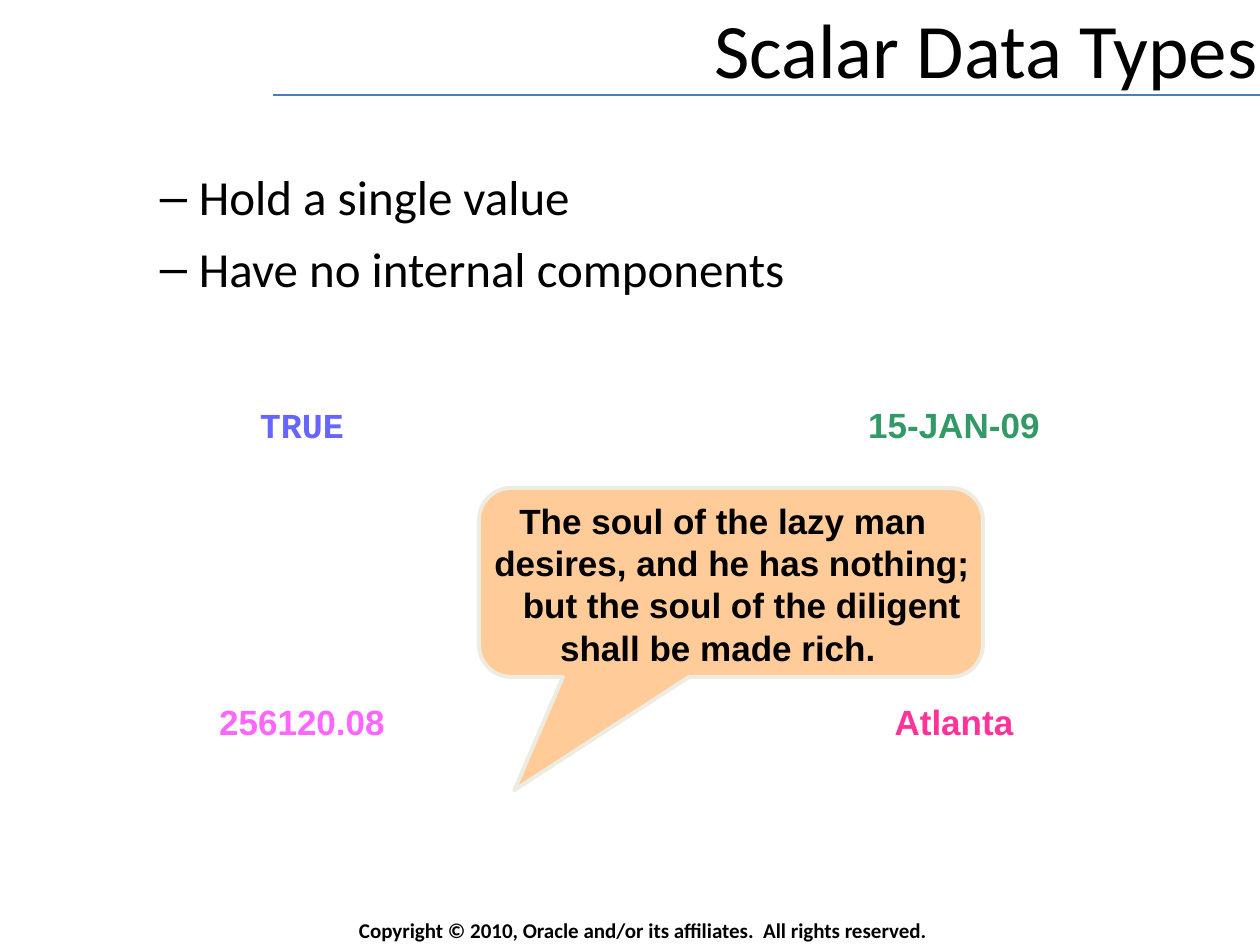
"""Build the Scalar Data Types slide."""
from lxml import etree
from pptx import Presentation
from pptx.dml.color import RGBColor
from pptx.enum.shapes import MSO_CONNECTOR, MSO_SHAPE
from pptx.enum.text import MSO_ANCHOR, MSO_AUTO_SIZE, PP_ALIGN
from pptx.oxml.ns import qn
from pptx.util import Emu, Pt

CENTER, RIGHT = PP_ALIGN.CENTER, PP_ALIGN.RIGHT
TOP, MIDDLE = MSO_ANCHOR.TOP, MSO_ANCHOR.MIDDLE
NO_FIT, GROW = MSO_AUTO_SIZE.NONE, MSO_AUTO_SIZE.SHAPE_TO_FIT_TEXT
CALLOUT, STRAIGHT = MSO_SHAPE.ROUNDED_RECTANGULAR_CALLOUT, MSO_CONNECTOR.STRAIGHT
PX = 914400 // 126

TITLE = "Scalar Data Types"
POINTS = ["Hold a single value", "Have no internal components"]
COPYRIGHT = "Copyright © 2010, Oracle and/or its affiliates.  All rights reserved."
VALUES = [
    [("TRUE", "Courier New", "6666FF", 112), ("15-JAN-09", "Arial", "339966", 200)],
    [("256120.08", "Arial", "FF66FF", 194), ("Atlanta", "Arial", "FF3399", 146)],
]
COLUMN_CENTERS = [302, 954]
ROW_TOPS = [389, 686]
QUOTE = [
    ("The soul of the lazy man", 0, 0),
    ("desires, and he has nothing;", 18, 0),
    ("but the soul of the diligent", 38, 0),
    ("shall be made rich.", 0, 10),
]


def px(length):
    return Emu(length * PX)


def color(value):
    return RGBColor.from_string(value)


def fill(shape, value):
    shape.fill.solid()
    shape.fill.fore_color.rgb = color(value)


def style(paragraph, size, font="Calibri", ink="000000", bold=False):
    for run in paragraph.runs:
        run.font.size = Pt(size)
        run.font.name = font
        run.font.bold = bold
        run.font.color.rgb = color(ink)


def set_margins(frame, horizontal, vertical):
    frame.margin_left = frame.margin_right = px(horizontal)
    frame.margin_top = frame.margin_bottom = px(vertical)


def add_text(slide, box, lines, wrap=True, margins=(13, 6)):
    holder = slide.shapes.add_textbox(*map(px, box))
    frame = holder.text_frame
    frame.word_wrap = wrap
    set_margins(frame, *margins)
    frame.text = "\n".join(lines)
    return holder


def add_title(slide):
    title = slide.shapes.title
    title.left, title.top, title.width, title.height = map(px, (189, 0, 1071, 79))
    fill(title, "FFFFFF")
    frame = title.text_frame
    frame.text = TITLE
    frame.auto_size = NO_FIT
    frame.vertical_anchor = TOP
    set_margins(frame, 2, 2)
    frame.paragraphs[0].alignment = RIGHT
    style(frame.paragraphs[0], 44)


def add_rule(slide):
    rule = slide.shapes.add_connector(STRAIGHT, *map(px, (273, 95, 1260, 95)))
    rule.line.color.rgb = color("4A7EBB")
    rule.line.width = Pt(0.75)
    etree.SubElement(rule._element.spPr, qn("a:effectLst"))


def add_points(slide):
    points = add_text(slide, (95, 165, 1071, 134), POINTS, margins=(2, 2))
    fill(points, "FFFFFF")
    for index, paragraph in enumerate(points.text_frame.paragraphs):
        properties = paragraph._p.get_or_add_pPr()
        properties.set("marL", str(px(102)))
        properties.set("indent", str(px(-39)))
        etree.SubElement(properties, qn("a:buFont"), typeface="Arial")
        etree.SubElement(properties, qn("a:buChar"), char="–")
        paragraph.space_before = Pt(7 if index else 0)
        style(paragraph, 28)


def add_values(slide):
    for top, row in zip(ROW_TOPS, VALUES):
        for center, (value, font, ink, width) in zip(COLUMN_CENTERS, row):
            box = (center - width // 2, top, width, 63)
            frame = add_text(slide, box, [value], wrap=False).text_frame
            frame.auto_size = GROW
            paragraph = frame.paragraphs[0]
            paragraph.alignment = CENTER
            paragraph.line_spacing = 1.2
            style(paragraph, 20, font, ink, True)


def add_quote(slide):
    bubble = slide.shapes.add_shape(CALLOUT, *map(px, (479, 488, 504, 189)))
    for index, adjustment in enumerate((-0.43, 1.1, 0.17)):
        bubble.adjustments[index] = adjustment
    bubble.shadow.inherit = False
    fill(bubble, "FFCC99")
    bubble.line.color.rgb = color("EEECE1")
    bubble.line.width = Pt(2.25)
    quote = add_text(slide, (462, 494, 522, 227), [line for line, _, _ in QUOTE])
    for paragraph, (_, left, right) in zip(quote.text_frame.paragraphs, QUOTE):
        properties = paragraph._p.get_or_add_pPr()
        properties.set("marL", str(px(left)))
        properties.set("marR", str(px(right)))
        paragraph.alignment = CENTER
        style(paragraph, 20, "Arial", bold=True)


def add_copyright(slide):
    box = (346, 917, 596, 27)
    frame = add_text(slide, box, [COPYRIGHT], wrap=False).text_frame
    frame.vertical_anchor = MIDDLE
    style(frame.paragraphs[0], 12, bold=True)


def main():
    deck = Presentation()
    deck.slide_width, deck.slide_height = px(1260), px(945)
    slide = deck.slides.add_slide(deck.slide_layouts[5])
    add_copyright(slide)
    add_rule(slide)
    add_title(slide)
    add_points(slide)
    add_values(slide)
    add_quote(slide)
    deck.save("out.pptx")


if __name__ == "__main__":
    main()
